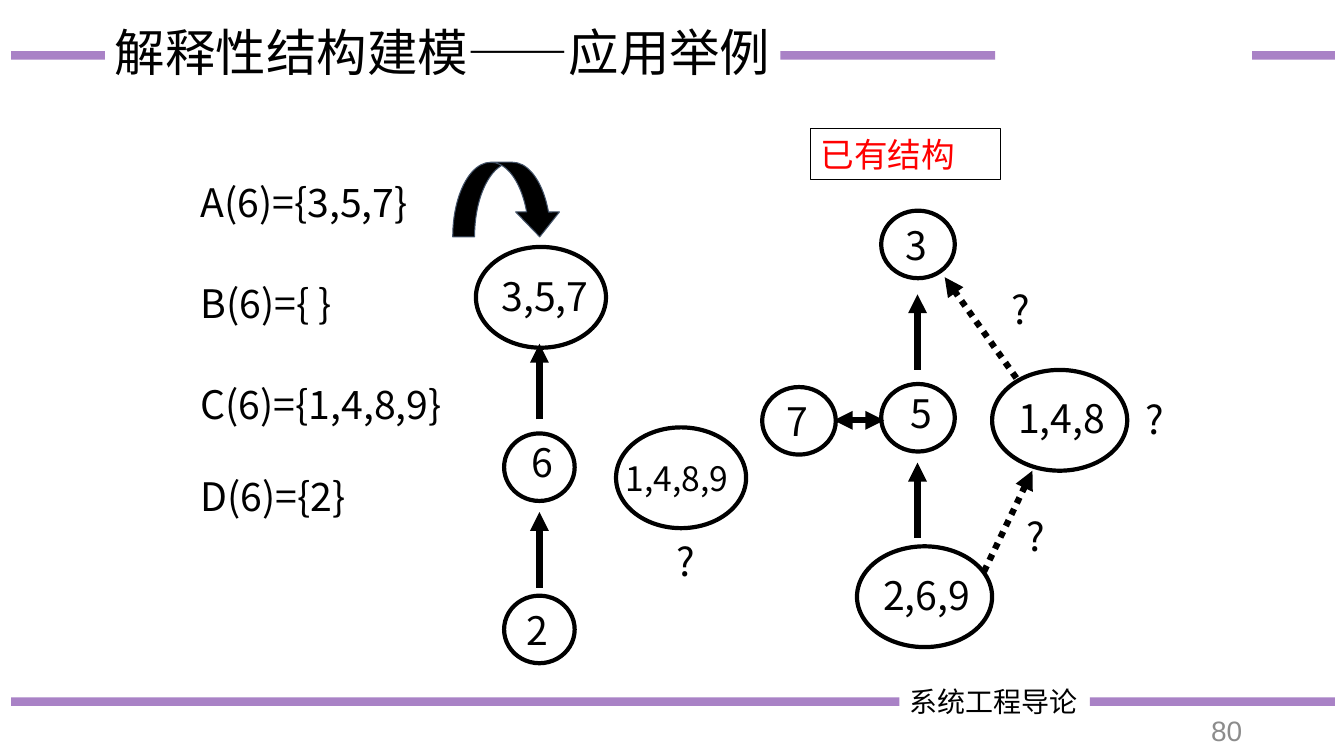
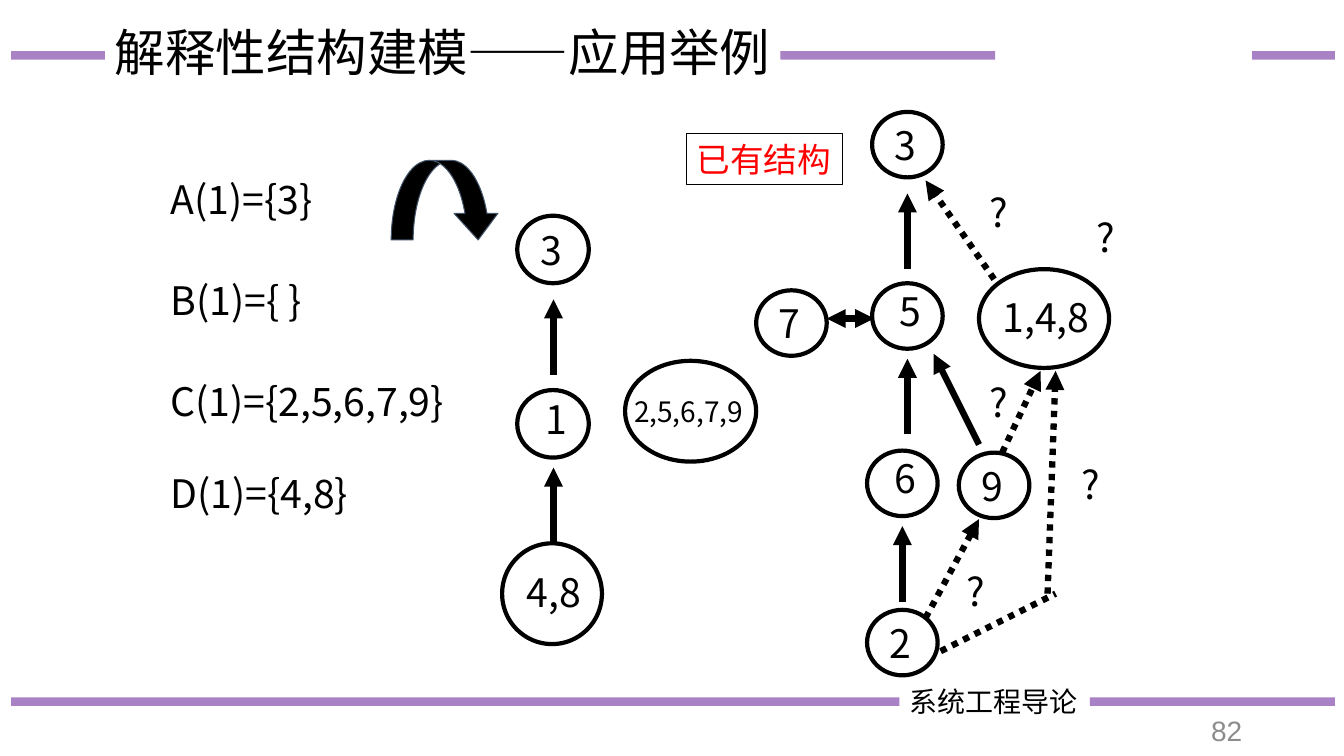
from lxml.etree import SubElement
from pptx import Presentation
from pptx.dml.color import RGBColor
from pptx.enum.dml import MSO_LINE
from pptx.enum.shapes import MSO_CONNECTOR, MSO_SHAPE
from pptx.enum.text import MSO_ANCHOR, MSO_AUTO_SIZE, PP_ALIGN
from pptx.oxml.ns import qn
from pptx.util import Pt

EMU_PER_PX = 9144
BLACK, PURPLE, GREY, RED, SLATE = "000000", "7030A0", "8C8C8C", "FF0000", "44546A"
CJK_FONT, NUMBER_FONT = "Noto Sans CJK SC", "Arial"
TITLE = "解释性结构建模——应用举例"
COURSE = "系统工程导论"
STRUCTURE = "已有结构"
BAND_SEGMENTS = [(11, 104, 55), (774, 987, 55), (1242, 1324, 55),
                 (11, 892, 696), (1081, 1324, 696)]
FORMULA_OFFSETS = (0, 100, 200, 291)
SINGLE, RAISED, WIDE = (-2, 0), (3, -5), (2, -2)


def px(*lengths):
    """Turn px lengths into EMU."""
    return [length * EMU_PER_PX for length in lengths]


def rgb(hex_color):
    """Turn a hex string into a colour."""
    return RGBColor.from_string(hex_color)


def write(shape, text, size=28, color=BLACK, font=CJK_FONT, align=PP_ALIGN.LEFT,
          margins=(0, 0, 0, 0), wrap=True, spacing=None):
    """Put one formatted, vertically centred paragraph in a shape."""
    frame = shape.text_frame
    frame.auto_size = MSO_AUTO_SIZE.NONE
    frame.word_wrap = wrap
    frame.vertical_anchor = MSO_ANCHOR.MIDDLE
    (frame.margin_left, frame.margin_top,
     frame.margin_right, frame.margin_bottom) = px(*margins)
    paragraph = frame.paragraphs[0]
    paragraph.alignment = align
    if spacing:
        paragraph.line_spacing = spacing
    run = paragraph.add_run()
    run.text = text
    run.font.size = Pt(size)
    run.font.name = font
    run.font.color.rgb = rgb(color)
    SubElement(run.font._element, qn("a:ea")).set("typeface", font)


def add_text(slide, text, left, top, width, height, **text_format):
    """Add a text box."""
    box = slide.shapes.add_textbox(*px(left, top, width, height))
    write(box, text, **text_format)
    return box


def add_outline(slide, kind, box, line_width, line_color=BLACK, fill=None):
    """Add a preset shape, unfilled unless a fill is given."""
    shape = slide.shapes.add_shape(kind, *px(*box))
    shape.shadow.inherit = False
    if fill:
        shape.fill.solid()
        shape.fill.fore_color.rgb = rgb(fill)
    else:
        shape.fill.background()
    shape.line.color.rgb = rgb(line_color)
    shape.line.width = Pt(line_width)
    return shape


def add_node(slide, label, left, top, width, height, shift=SINGLE, size=28):
    """Add an elliptic node whose label is shifted from the centre."""
    node = add_outline(slide, MSO_SHAPE.OVAL, (left, top, width, height), 3)
    right, down = shift
    margins = (max(2 * right, 0), max(2 * down, 0), max(-2 * right, 0), max(-2 * down, 0))
    write(node, label, size=size, align=PP_ALIGN.CENTER, margins=margins, wrap=False)


def add_line(slide, start, end, width, color):
    """Add a straight line without a shadow."""
    line = slide.shapes.add_connector(MSO_CONNECTOR.STRAIGHT, *px(*start, *end))
    line.line.color.rgb = rgb(color)
    line.line.width = Pt(width)
    SubElement(line.element.spPr, qn("a:effectLst"))
    return line


def add_arrow(slide, start, end, dotted=False, heads=("tailEnd",)):
    """Add a thick arrow, solid or dotted."""
    arrow = add_line(slide, start, end, 4.5, BLACK)
    if dotted:
        arrow.line.dash_style = MSO_LINE.ROUND_DOT
    for head in heads:
        SubElement(arrow.element.spPr.find(qn("a:ln")), qn(f"a:{head}")).set("type", "triangle")


def add_double_arrow(slide, start, end):
    """Add an arrow with a head at each end."""
    add_arrow(slide, start, end, heads=("headEnd", "tailEnd"))


def add_up_arrows(slide, left, *bottoms):
    """Add vertical arrows of equal length in one column."""
    for bottom in bottoms:
        add_arrow(slide, (left, bottom), (left, bottom - 75))


def add_questions(slide, *places):
    """Add a question mark at each place."""
    for left, top in places:
        add_text(slide, "?", left, top, 39, 57, align=PP_ALIGN.CENTER)


def add_formulas(slide, left, top, formulas):
    """Add the column of set definitions."""
    for formula, offset in zip(formulas, FORMULA_OFFSETS):
        add_text(slide, formula, left, top + offset, 310, 57)


def add_turn_arrow(slide, box, adjustments):
    """Add the curved arrow over the left graph."""
    arrow = add_outline(slide, MSO_SHAPE.CURVED_DOWN_ARROW, box, 0.75, SLATE, BLACK)
    for index, value in enumerate(adjustments):
        arrow.adjustments[index] = value


def add_caption(slide, left, top, width):
    """Add the framed caption of the right graph."""
    caption = add_outline(slide, MSO_SHAPE.RECTANGLE, (left, top, width, 51), 0.75)
    write(caption, STRUCTURE, size=24, color=RED, margins=(10, 0, 0, 0))


def move_frame_to_layout(slide, layout):
    """Draw the bands and the course name, and keep them on the layout."""
    parts = []
    for left, right, height in BAND_SEGMENTS:
        band = add_line(slide, (left, height), (right, height), 6, PURPLE)
        color = band.element.spPr.find(qn("a:ln")).find(".//" + qn("a:srgbClr"))
        SubElement(color, qn("a:alpha")).set("val", "60000")
        parts.append(band)
    parts.append(add_text(slide, COURSE, 902, 674, 179, 44, size=20))
    for number, part in enumerate(parts, 101):
        next(part.element.iter(qn("p:cNvPr"))).set("id", str(number))
        layout.element.cSld.spTree.append(part.element)


def add_titled_slide(presentation, layout, number):
    """Add a slide with its title and page number."""
    slide = presentation.slides.add_slide(layout)
    title = slide.shapes.title
    title.left, title.top, title.width, title.height = px(104, -18, 670, 145)
    write(title, TITLE, size=36, margins=(10, 5, 0, 5), spacing=0.9)
    add_text(slide, number, 1169, 705, 73, 40, size=20, color=GREY, font=NUMBER_FONT,
             align=PP_ALIGN.RIGHT, margins=(0, 0, 10, 0))
    return slide


def fill_element_six(slide):
    """Show the sets of element 6 and the structure so far."""
    add_formulas(slide, 199, 172, ("A(6)={3,5,7}", "B(6)={ }", "C(6)={1,4,8,9}", "D(6)={2}"))
    add_up_arrows(slide, 535, 416, 583)
    add_node(slide, "3,5,7", 472, 245, 129, 100, (4, -1))
    add_node(slide, "6", 500, 430, 70, 67, RAISED)
    add_node(slide, "2", 500, 591, 70, 67)
    add_node(slide, "1,4,8,9", 611, 424, 129, 100, (-4, 0), 24)
    add_turn_arrow(slide, (449, 161, 108, 74), (0.293, 0.586, 0.333))

    add_caption(slide, 804, 127, 188)
    add_up_arrows(slide, 910, 367, 534)
    add_double_arrow(slide, (827, 417), (877, 417))
    add_arrow(slide, (1008, 375), (937, 275), dotted=True)
    add_arrow(slide, (976, 567), (1024, 467), dotted=True)
    add_node(slide, "3", 874, 209, 73, 67)
    add_node(slide, "5", 874, 381, 73, 67, RAISED)
    add_node(slide, "7", 756, 384, 73, 67)
    add_node(slide, "1,4,8", 984, 367, 134, 100, WIDE)
    add_node(slide, "2,6,9", 850, 542, 134, 100, WIDE)
    add_questions(slide, (661, 528), (1126, 387), (993, 278), (1008, 503))


def fill_element_one(slide):
    """Show the sets of element 1 and the structure so far."""
    add_formulas(slide, 169, 169, ("A(1)={3}", "B(1)={ }", "C(1)={2,5,6,7,9}", "D(1)={4,8}"))
    add_up_arrows(slide, 549, 372, 539)
    add_node(slide, "3", 513, 214, 71, 67)
    add_node(slide, "1", 513, 387, 71, 67, RAISED)
    add_node(slide, "4,8", 498, 539, 99, 100, WIDE)
    add_node(slide, "2,5,6,7,9", 620, 358, 130, 100, size=20)
    add_turn_arrow(slide, (388, 159, 108, 79), (0.276, 0.551, 0.333))

    add_caption(slide, 681, 132, 155)
    add_up_arrows(slide, 900, 267, 431)
    add_up_arrows(slide, 895, 597)
    add_double_arrow(slide, (820, 316), (867, 316))
    add_arrow(slide, (971, 441), (926, 351))
    for start, end in (((986, 277), (918, 179)), ((918, 613), (971, 515)),
                       ((1039, 589), (1047, 368)), ((994, 449), (1032, 368))):
        add_arrow(slide, start, end, dotted=True)
    add_arrow(slide, (933, 646), (1047, 589), dotted=True, heads=())
    for label, left, top, shift in (("3", 865, 111, SINGLE), ("5", 865, 281, RAISED),
                                    ("7", 750, 288, SINGLE), ("6", 860, 447, RAISED),
                                    ("9", 951, 449, SINGLE), ("2", 860, 605, SINGLE)):
        add_node(slide, label, left, top, 70, 65, shift)
    add_node(slide, "1,4,8", 971, 267, 129, 98, WIDE)
    add_questions(slide, (1077, 206), (971, 182), (1062, 452), (948, 558), (971, 370))


def main():
    """Build and save the presentation."""
    presentation = Presentation()
    presentation.slide_width, presentation.slide_height = px(1333, 750)
    layout = presentation.slide_layouts[5]
    first = add_titled_slide(presentation, layout, "80")
    move_frame_to_layout(first, layout)
    fill_element_six(first)
    fill_element_one(add_titled_slide(presentation, layout, "82"))
    presentation.save("out.pptx")


if __name__ == "__main__":
    main()
